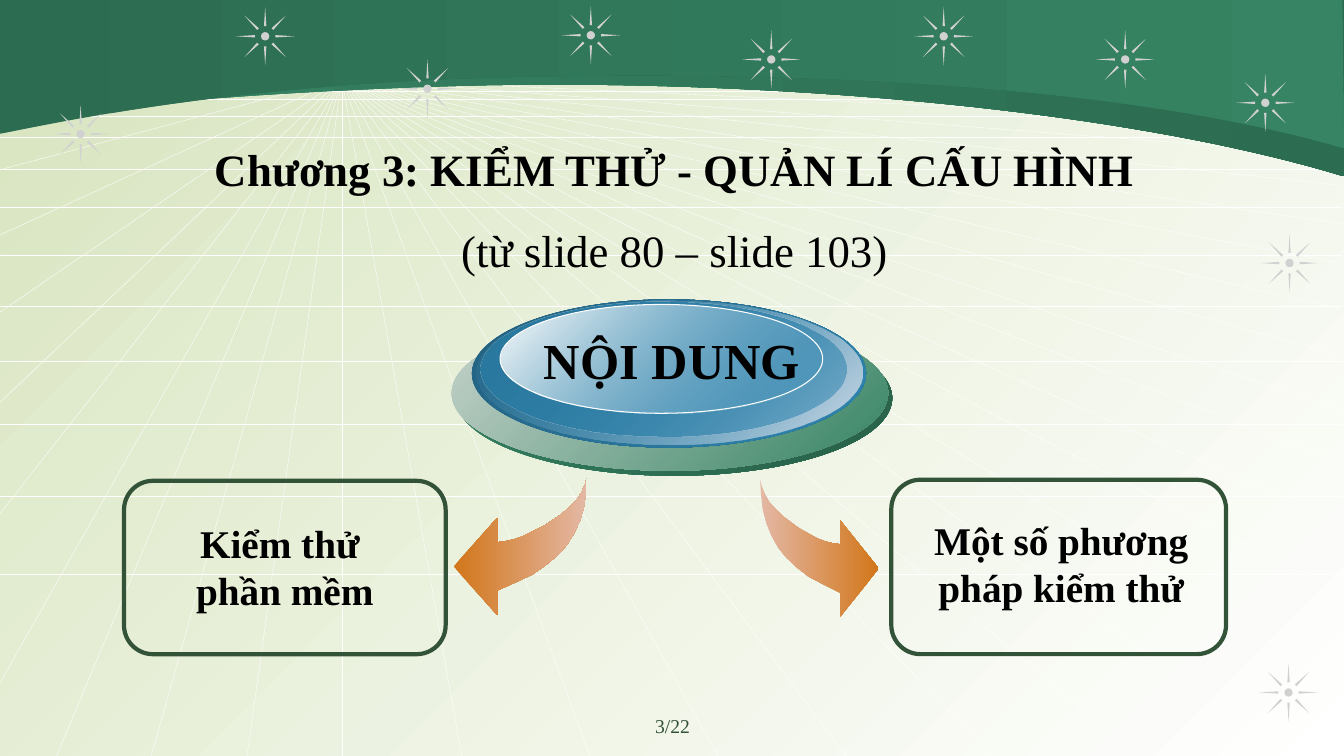
from dataclasses import dataclass

from lxml import etree
from pptx import Presentation
from pptx.dml.color import RGBColor
from pptx.enum.shapes import MSO_CONNECTOR, MSO_SHAPE
from pptx.enum.text import MSO_ANCHOR, MSO_AUTO_SIZE, PP_ALIGN
from pptx.oxml.ns import qn
from pptx.util import Inches, Pt

ELLIPSE, SUN, ROUNDED = MSO_SHAPE.OVAL, MSO_SHAPE.SUN, MSO_SHAPE.ROUNDED_RECTANGLE
STRAIGHT = MSO_CONNECTOR.STRAIGHT
CENTER, MIDDLE, TOP = PP_ALIGN.CENTER, MSO_ANCHOR.MIDDLE, MSO_ANCHOR.TOP
NO_AUTOFIT = MSO_AUTO_SIZE.NONE

FONT = "Times New Roman"
BLACK, WHITE, DARK_GREEN, SPARK_GRAY = "000000", "FFFFFF", "335338", "D1D1D1"
GREEN, DEEP_GREEN, BLUE = "368463", "2C6C51", "2F86B1"
ORANGE, PEACH = "D2761A", "E4B8A5"
LEFT, RIGHT, BOTTOM = -0.02, 13.31, 7.5

Point = tuple[float, float]
Box = tuple[float, float, float, float]


@dataclass
class Gradient:
    """Two colours, an angle clockwise, and the opacity of each end in percent."""
    start: str
    end: str
    angle: int = 45
    start_opacity: int = 100
    end_opacity: int = 100


@dataclass
class Disc:
    box: Box
    gradient: Gradient
    outline: str | None = None


@dataclass
class Topic:
    frame: Box
    text_box: Box
    lines: list[str]


@dataclass
class Band:
    start: Point
    curves: list[list[Point]]
    corners: list[Point]
    gradient: Gradient


RAY_ORIGIN = (3.39, 0.78)
RAY_ENDS = (
    [(RIGHT, y) for y in (1, 1.23, 1.54, 1.84, 2.22, 2.61, 3.07, 3.53, 4.06, 4.59, 5.2, 5.89, 6.8)]
    + [(x, BOTTOM) for x in (12.8, 11.27, 9.84, 8.39, 7.12, 5.85, 4.58, 3.39, 2.45, 1.5, 0.56)]
    + [(LEFT, y) for y in (6.81, 5.12, 4.01, 3.11, 2.34, 1.69, 1.16, 0.97, 0.78)]
)
LEVELS = (0.84, 0.9, 0.98, 1.15, 1.36, 1.68, 2.06, 2.53, 3.04, 3.58, 4.21, 4.92, 5.7)

BANDS = [
    Band((LEFT, 1.19),
         [[(0.15, 1.18), (1.78, 0.93), (4.63, 0.85)], [(7.48, 0.78), (11.07, 1.06), (13.33, 1.75)]],
         [(13.33, 0), (LEFT, 0)], Gradient(GREEN, DEEP_GREEN, 0)),
    Band((LEFT, 1.33),
         [[(0.15, 1.31), (2.02, 0.85), (4.85, 0.77)], [(7.69, 0.69), (11.07, 0.81), (13.33, 1.47)]],
         [(13.31, 0), (LEFT, -0.01)], Gradient(DEEP_GREEN, GREEN, 0)),
]

SPARK_SIZE = 0.58
SPARKS = [(10.87, 0.3), (0.51, 1.04), (2.34, 0.07), (3.95, 0.59), (5.57, 0.06),
          (7.36, 0.3), (12.5, 2.32), (9.07, 0.07), (12.49, 6.58), (12.26, 0.73)]

DISCS = [
    Disc((4.52, 3.18, 4.33, 1.54), Gradient(GREEN, "276048")),
    Disc((4.48, 3.13, 4.33, 1.54), Gradient("C8D4CD", GREEN)),
    Disc((4.68, 2.97, 3.91, 1.47), Gradient("22607F", BLUE)),
    Disc((4.73, 2.98, 3.82, 1.43), Gradient(BLUE, "D5DEE8", start_opacity=0)),
    Disc((4.77, 2.99, 3.63, 1.34), Gradient("2A79A0", BLUE, end_opacity=48)),
    Disc((4.96, 3.02, 3.2, 1.08), Gradient(WHITE, BLUE, end_opacity=38), WHITE),
]

TOPICS = [
    Topic((1.23, 4.77, 3.19, 1.72), (1.21, 5.1, 3.23, 1.04), ["Kiểm thử ", "phần mềm"]),
    Topic((8.84, 4.76, 3.32, 1.73), (9.04, 5.07, 2.97, 1.04), ["Một số phương pháp kiểm thử"]),
]

# Distances from the tail of the arrow: away from the centre, and down.
ARROW = [(0, 0), (0.01, 0.16), (0.03, 0.3), (0.07, 0.43), (0.13, 0.56), (0.2, 0.67),
         (0.29, 0.77), (0.41, 0.87), (0.54, 0.96), (0.71, 1.04), (0.89, 1.12), (0.89, 1.36),
         (1.32, 0.88), (0.89, 0.4), (0.89, 0.64), (0.81, 0.63), (0.72, 0.61), (0.63, 0.58),
         (0.53, 0.53), (0.43, 0.48), (0.34, 0.42), (0.25, 0.36), (0.17, 0.29), (0.1, 0.22),
         (0.05, 0.14), (0.02, 0.07)]


def color(value: str) -> RGBColor:
    return RGBColor.from_string(value)


def fill_gradient(fill, gradient: Gradient) -> None:
    fill.gradient()
    fill.gradient_angle = (360 - gradient.angle) % 360
    ends = ((gradient.start, gradient.start_opacity), (gradient.end, gradient.end_opacity))
    for stop, (value, opacity) in zip(fill.gradient_stops, ends):
        stop.color.rgb = color(value)
        if opacity < 100:
            rgb = stop._gs.find(qn("a:srgbClr"))
            etree.SubElement(rgb, qn("a:alpha")).set("val", str(opacity * 1000))


def format_shape(shape, fill: Gradient | str | None = None,
                 line: str | None = None, width: float = 1) -> None:
    shape.shadow.inherit = False
    if isinstance(fill, Gradient):
        fill_gradient(shape.fill, fill)
    elif fill:
        shape.fill.solid()
        shape.fill.fore_color.rgb = color(fill)
    else:
        shape.fill.background()
    if line:
        shape.line.color.rgb = color(line)
        shape.line.width = Pt(width)
    else:
        shape.line.fill.background()


def add_preset(shapes, kind, box: Box, adjustment: float | None = None, **style) -> None:
    shape = shapes.add_shape(kind, *map(Inches, box))
    if adjustment is not None:
        shape.adjustments[0] = adjustment
    format_shape(shape, **style)


def add_ray(shapes, start: Point, end: Point) -> None:
    connector = shapes.add_connector(STRAIGHT, *map(Inches, start + end))
    connector.line.color.rgb = color(WHITE)
    connector.line.width = Pt(0.25)
    etree.SubElement(connector._element.spPr, qn("a:effectLst"))


def add_outline(shapes, points: list[Point], gradient: Gradient) -> None:
    corners = [(Inches(x), Inches(y)) for x, y in points]
    builder = shapes.build_freeform(*corners[0], scale=1.0)
    builder.add_line_segments(corners[1:], close=True)
    format_shape(builder.convert_to_shape(), gradient)


def curve_points(start: Point, controls: list[Point], steps: int = 40) -> list[Point]:
    """Points along a cubic curve, without its start."""
    points = []
    for step in range(1, steps + 1):
        t = step / steps
        weights = ((1 - t) ** 3, 3 * t * (1 - t) ** 2, 3 * t * t * (1 - t), t ** 3)
        x, y = (sum(w * p[axis] for w, p in zip(weights, [start, *controls])) for axis in (0, 1))
        points.append((x, y))
    return points


def add_band(shapes, band: Band) -> None:
    points = [band.start]
    for controls in band.curves:
        points += curve_points(points[-1], controls)
    add_outline(shapes, points + band.corners, band.gradient)


def write_text(shape, lines: list[str], *, size: float, bold: tuple[bool, ...] = (True,),
               value: str = BLACK, spacing: float = 1.0, anchor=TOP, wrap: bool = True) -> None:
    """Fill a shape with centred paragraphs; the last bold flag holds for the rest."""
    frame = shape.text_frame
    frame.text = "\n".join(lines)
    frame.auto_size, frame.word_wrap, frame.vertical_anchor = NO_AUTOFIT, wrap, anchor
    for index, paragraph in enumerate(frame.paragraphs):
        paragraph.alignment, paragraph.line_spacing = CENTER, spacing
        font = paragraph.runs[0].font
        font.name, font.size, font.color.rgb = FONT, Pt(size), color(value)
        font.bold = bold[min(index, len(bold) - 1)]


def add_text(shapes, box: Box, lines: list[str], **style) -> None:
    write_text(shapes.add_textbox(*map(Inches, box)), lines, **style)


def main() -> None:
    presentation = Presentation()
    presentation.slide_width, presentation.slide_height = Inches(13.33), Inches(7.5)
    slide = presentation.slides.add_slide(presentation.slide_layouts[5])
    shapes = slide.shapes
    fill_gradient(slide.background.fill, Gradient("D7E4BE", WHITE))

    rays = shapes.add_group_shape().shapes
    for end in RAY_ENDS:
        add_ray(rays, RAY_ORIGIN, end)
    for level in LEVELS:
        add_ray(rays, (LEFT, level), (RIGHT, level))
    for band in BANDS:
        add_band(shapes, band)
    for spark in SPARKS:
        add_preset(shapes, SUN, (*spark, SPARK_SIZE, SPARK_SIZE), 0.429, fill=SPARK_GRAY)

    add_text(shapes, (4.56, 7.03, 4.22, 0.35), ["3/22"], size=14, bold=(False,), value=DARK_GREEN)
    for topic in TOPICS:
        add_preset(shapes, ROUNDED, topic.frame, 0.167, line=DARK_GREEN, width=3)
        add_text(shapes, topic.text_box, topic.lines, size=28)
    add_outline(shapes, [(5.82 - x, 4.74 + y) for x, y in ARROW], Gradient(ORANGE, PEACH, 0))
    add_outline(shapes, [(7.54 + 0.89 * x, 4.76 + y) for x, y in ARROW], Gradient(PEACH, ORANGE, 0))

    medallion = shapes.add_group_shape().shapes
    for disc in DISCS:
        add_preset(medallion, ELLIPSE, disc.box, fill=disc.gradient, line=disc.outline, width=0.75)
    add_text(shapes, (5.28, 3.22, 2.77, 0.71), ["NỘI DUNG"], size=36, wrap=False)

    title = shapes.title
    title.left, title.top, title.width, title.height = map(Inches, (1.8, 1.22, 9.78, 1.44))
    write_text(title, ["Chương 3: KIỂM THỬ - QUẢN LÍ CẤU HÌNH", "(từ slide 80 – slide 103)"],
               size=32, bold=(True, False), spacing=1.5, anchor=MIDDLE)
    shapes._spTree.append(title._element)
    presentation.save("out.pptx")


if __name__ == "__main__":
    main()
